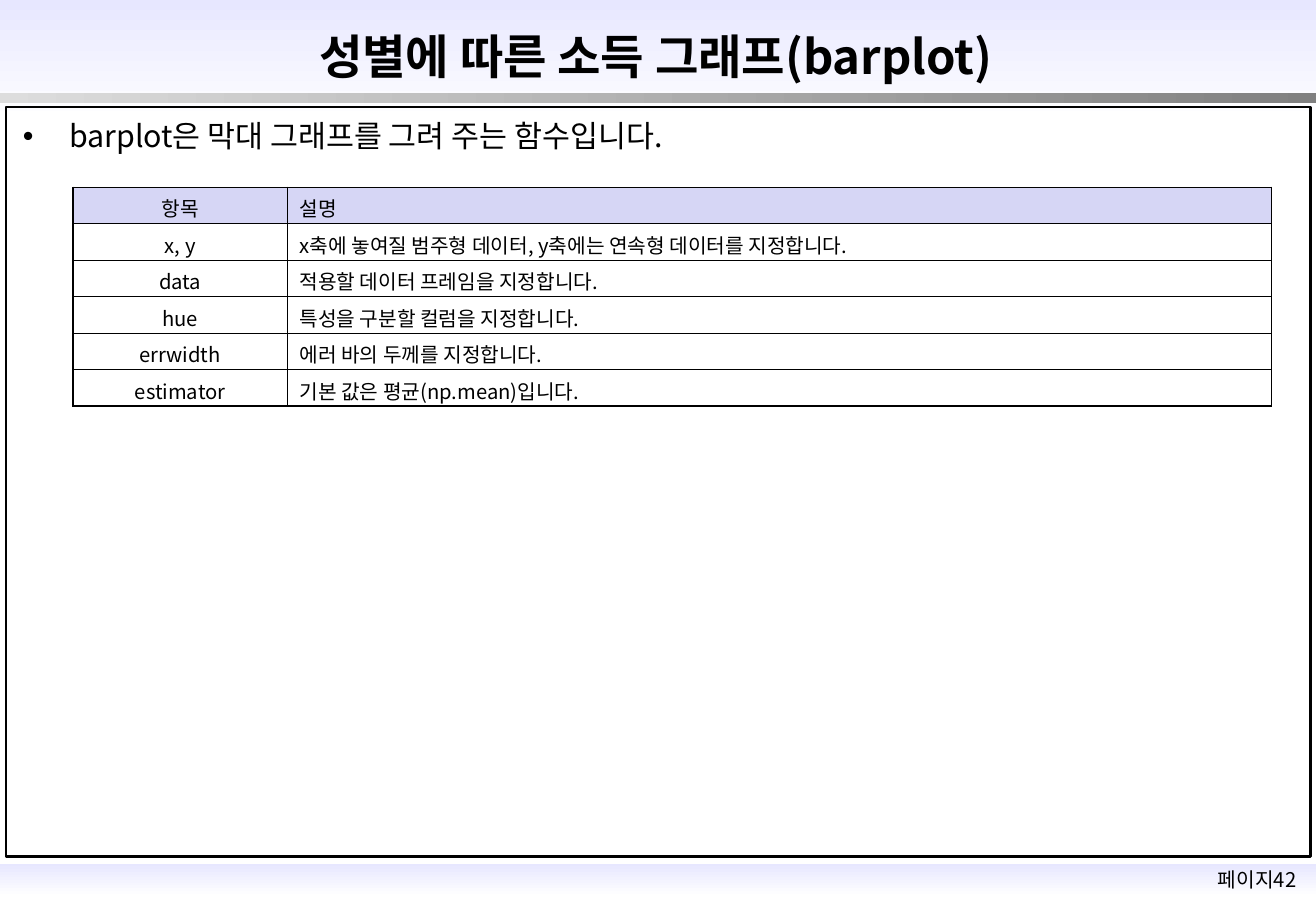
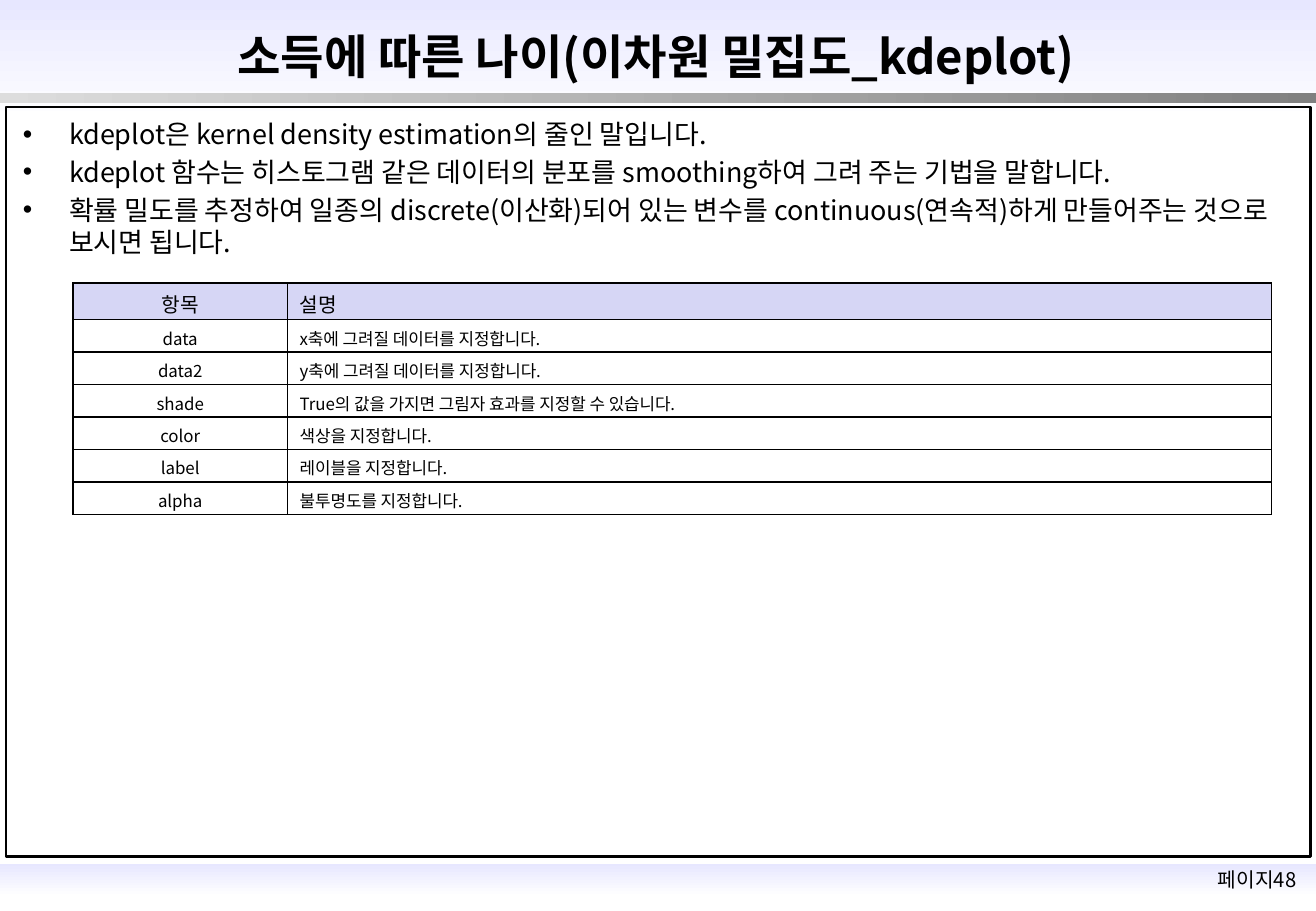
from lxml.etree import SubElement
from pptx import Presentation
from pptx.dml.color import RGBColor
from pptx.enum.shapes import MSO_SHAPE
from pptx.enum.text import MSO_ANCHOR, MSO_AUTO_SIZE, PP_ALIGN
from pptx.oxml.ns import qn
from pptx.util import Pt

FONT = "Noto Sans CJK KR"
BLACK = RGBColor(0x00, 0x00, 0x00)
WHITE = RGBColor(0xFF, 0xFF, 0xFF)
LAVENDER = RGBColor(0xE7, 0xE7, 0xFF)
HEADER_FILL = RGBColor(0xD6, 0xD6, 0xF5)
LIGHT_GREY = RGBColor(0xDD, 0xDD, 0xDD)
DARK_GREY = RGBColor(0x80, 0x80, 0x80)

PAGE_WIDTH, PAGE_HEIGHT = 780, 540
TABLE_LEFT = 43.2
COLUMN_WIDTHS = (127.2, 583.4)
HEADER_SIZE = 12
BULLET_INDENT = 27.4

PAGES = [
    {
        "title": "성별에 따른 소득 그래프(barplot)",
        "number": 42,
        "bullet_size": 18,
        "bullets": ["barplot은 막대 그래프를 그려 주는 함수입니다."],
        "body_height": 28.8,
        "table_top": 111,
        "row_size": 12,
        "rows": [
            ("x, y", "x축에 놓여질 범주형 데이터, y축에는 연속형 데이터를 지정합니다."),
            ("data", "적용할 데이터 프레임을 지정합니다."),
            ("hue", "특성을 구분할 컬럼을 지정합니다."),
            ("errwidth", "에러 바의 두께를 지정합니다."),
            ("estimator", "기본 값은 평균(np.mean)입니다."),
        ],
    },
    {
        "title": "소득에 따른 나이(이차원 밀집도_kdeplot)",
        "number": 48,
        "bullet_size": 16,
        "bullets": [
            "kdeplot은 kernel density estimation의 줄인 말입니다.",
            "kdeplot 함수는 히스토그램 같은 데이터의 분포를 smoothing하여 그려 주는 기법을 말합니다.",
            "확률 밀도를 추정하여 일종의 discrete(이산화)되어 있는 변수를 "
            "continuous(연속적)하게 만들어주는 것으로 보시면 됩니다.",
        ],
        "body_height": 92.9,
        "table_top": 167.8,
        "row_size": 10,
        "rows": [
            ("data", "x축에 그려질 데이터를 지정합니다."),
            ("data2", "y축에 그려질 데이터를 지정합니다."),
            ("shade", "True의 값을 가지면 그림자 효과를 지정할 수 있습니다."),
            ("color", "색상을 지정합니다."),
            ("label", "레이블을 지정합니다."),
            ("alpha", "불투명도를 지정합니다."),
        ],
    },
]


def add_span(para, text, size, bold=False):
    span = para.add_run()
    span.text = text
    span.font.size = Pt(size)
    span.font.bold = bold
    span.font.color.rgb = BLACK
    span.font.name = FONT
    SubElement(span._r.get_or_add_rPr(), qn("a:ea"), typeface=FONT)


def add_border(cell):
    properties = cell._tc.get_or_add_tcPr()
    for side in ("a:lnL", "a:lnR", "a:lnT", "a:lnB"):
        line = SubElement(properties, qn(side), w=str(Pt(1)))
        fill = SubElement(line, qn("a:solidFill"))
        SubElement(fill, qn("a:srgbClr"), val=str(BLACK))


deck = Presentation()
deck.slide_width, deck.slide_height = Pt(PAGE_WIDTH), Pt(PAGE_HEIGHT)
layout = deck.slide_layouts[5]
pages = [deck.slides.add_slide(layout) for _ in PAGES]

# Shared bands and frame, drawn once and moved to the layout
for holder in list(layout.placeholders):
    if holder.placeholder_format.idx != 0:
        layout.shapes.element.remove(holder.element)

shared = []
for top, height, start, end, angle in (
    (512, 19.4, LAVENDER, WHITE, 270),
    (0, 72, LAVENDER, WHITE, 270),
    (55.4, 5.8, LIGHT_GREY, DARK_GREY, 0),
):
    band = pages[0].shapes.add_shape(
        MSO_SHAPE.RECTANGLE, Pt(0), Pt(top), Pt(PAGE_WIDTH), Pt(height))
    band.fill.gradient()
    band.fill.gradient_angle = angle
    for stop, color in zip(band.fill.gradient_stops, (start, end)):
        stop.color.rgb = color
    band.line.fill.background()
    shared.append(band)

frame = pages[0].shapes.add_shape(
    MSO_SHAPE.RECTANGLE, Pt(3.6), Pt(63.4), Pt(773.3), Pt(444.2))
frame.fill.background()
frame.line.color.rgb = BLACK
frame.line.width = Pt(1.5)
shared.append(frame)

for shape in shared:
    shape.shadow.inherit = False
    layout.shapes.element.append(shape.element)

for page, content in zip(pages, PAGES):
    # Title
    title = page.shapes.title
    title.left, title.top, title.width, title.height = Pt(100), Pt(12.2), Pt(577.4), Pt(41.8)
    title.text_frame.auto_size = MSO_AUTO_SIZE.NONE
    title.text_frame.vertical_anchor = MSO_ANCHOR.MIDDLE
    para = title.text_frame.paragraphs[0]
    para.alignment = PP_ALIGN.CENTER
    add_span(para, content["title"], 28, bold=True)

    # Page number
    box = page.shapes.add_textbox(Pt(707), Pt(510.5), Pt(76.3), Pt(21.6))
    box.text_frame.word_wrap = True
    para = box.text_frame.paragraphs[0]
    para.alignment = PP_ALIGN.CENTER
    add_span(para, f"페이지{content['number']}", 12)

    # Bullets
    box = page.shapes.add_textbox(Pt(6.5), Pt(66.2), Pt(773.3), Pt(content["body_height"]))
    box.text_frame.word_wrap = True
    for index, text in enumerate(content["bullets"]):
        para = box.text_frame.paragraphs[0] if index == 0 else box.text_frame.add_paragraph()
        properties = para._p.get_or_add_pPr()
        properties.set("marL", str(Pt(BULLET_INDENT)))
        properties.set("indent", str(-Pt(BULLET_INDENT)))
        SubElement(properties, qn("a:buFont"), typeface="Arial")
        SubElement(properties, qn("a:buChar"), char="•")
        if index:
            para.space_before = Pt(0.2 * content["bullet_size"])
        add_span(para, text, content["bullet_size"])

    # Parameter table: each row is one text line plus the cell margins
    rows = [("항목", "설명")] + content["rows"]
    sizes = [HEADER_SIZE] + [content["row_size"]] * len(content["rows"])
    heights = [1.2 * size + 7.2 for size in sizes]
    table = page.shapes.add_table(
        len(rows), len(COLUMN_WIDTHS), Pt(TABLE_LEFT), Pt(content["table_top"]),
        Pt(sum(COLUMN_WIDTHS)), Pt(sum(heights))).table
    table.first_row = table.horz_banding = False
    for column, width in zip(table.columns, COLUMN_WIDTHS):
        column.width = Pt(width)
    for row_index, (texts, size, height) in enumerate(zip(rows, sizes, heights)):
        table.rows[row_index].height = Pt(height)
        for column_index, text in enumerate(texts):
            cell = table.cell(row_index, column_index)
            add_border(cell)
            if row_index == 0:
                cell.fill.solid()
                cell.fill.fore_color.rgb = HEADER_FILL
            else:
                cell.fill.background()
            cell.vertical_anchor = MSO_ANCHOR.MIDDLE
            para = cell.text_frame.paragraphs[0]
            para.alignment = PP_ALIGN.JUSTIFY if column_index else PP_ALIGN.CENTER
            add_span(para, text, size)

deck.save("out.pptx")
